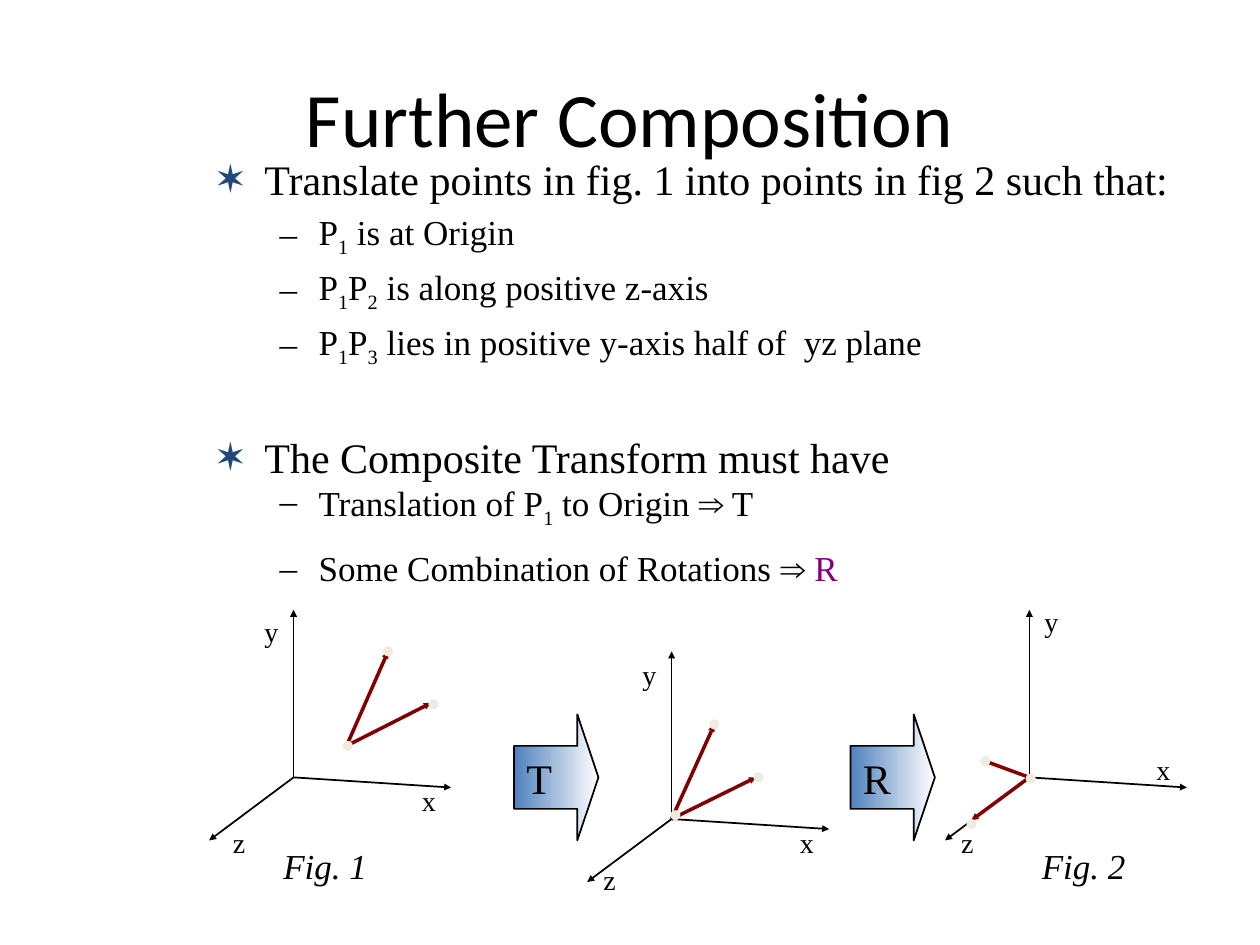
"""Build the Further Composition slide on chained 3D transforms."""
from dataclasses import dataclass
from typing import Any, NamedTuple

from pptx import Presentation
from pptx import util as u
from pptx.dml.color import RGBColor
from pptx.enum import shapes, text
from pptx.oxml import ns, xmlchemy


class Point(NamedTuple):
    x: float
    y: float


class Area(NamedTuple):
    left: float
    top: float
    width: float
    height: float


class Span(NamedTuple):
    words: str
    subscript: bool = False
    accent: bool = False


@dataclass(frozen=True)
class Theme:
    heading: str = "Calibri"
    body: str = "Times New Roman"
    ink: str = "000000"
    vector: str = "800000"
    dot: str = "EEECE1"
    star: str = "1F497D"
    accent: str = "800080"
    arrow_start: str = "4F81BD"
    arrow_end: str = "FFFFFF"
    title_size: float = 44
    point_size: float = 24
    detail_size: float = 20
    label_size: float = 16


@dataclass(frozen=True)
class Item:
    spans: tuple[Span, ...]
    level: int = 1


@dataclass(frozen=True)
class Listing:
    area: Area
    items: tuple[Item, ...]
    line_spacing: float = 1.0
    space_before: float = 0


@dataclass(frozen=True)
class Figure:
    origin: Point
    start: Point
    tips: tuple[Point, ...]
    dots: tuple[Point, ...]
    labels: dict[str, Point]


THEME = Theme()
AXES = (Point(0, -1.33), Point(1.25, 0.08), Point(-0.67, 0.5))
DOT_SIZE = 0.08
P, ONE, TWO, THREE = Span("P"), Span("1", True), Span("2", True), Span("3", True)

LISTINGS = (
    Listing(Area(1.62, 1.17, 8.38, 1.83), (
        Item((Span("Translate points in fig. 1 into points in fig 2 such that:"),), 0),
        Item((P, ONE, Span(" is at Origin"))),
        Item((P, ONE, P, TWO, Span(" is along positive z-axis"))),
        Item((P, ONE, P, THREE, Span(" lies in positive y-axis half of  yz plane"))),
    ), space_before=4),
    Listing(Area(1.62, 3.42, 8.38, 0.92), (
        Item((Span("The Composite Transform must have"),), 0),
        Item((Span("Translation of P"), ONE, Span(" to Origin ⇒ T"))),
    ), line_spacing=0.9),
    Listing(Area(1.62, 4.33, 8.38, 0.5), (
        Item((Span("Some Combination of Rotations ⇒ "), Span("R", accent=True))),
    ), line_spacing=0.9),
)

FIGURES = (
    Figure(Point(2.33, 6.17), Point(2.75, 5.92),
           (Point(3.42, 5.58), Point(3.08, 5.17)),
           (Point(3.44, 5.59), Point(3.08, 5.17), Point(2.76, 5.92)),
           {"z": Point(1.75, 6.5), "x": Point(3.25, 6.17), "y": Point(2, 4.83)}),
    Figure(Point(5.33, 6.5), Point(5.33, 6.5),
           (Point(6, 6.17), Point(5.67, 5.75)),
           (Point(6.02, 6.17), Point(5.67, 5.75), Point(5.36, 6.47)),
           {"z": Point(4.69, 6.8), "x": Point(6.25, 6.5), "y": Point(5, 5.17)}),
    Figure(Point(8.17, 6.17), Point(8.17, 6.17),
           (Point(7.71, 6.51), Point(7.79, 6.03)),
           (Point(7.71, 6.54), Point(7.82, 6.04), Point(8.18, 6.18)),
           {"z": Point(7.53, 6.5), "x": Point(9.08, 5.92), "y": Point(8.19, 4.75)}),
)


def apply_format(target: Any, values: dict[str, Any]) -> None:
    for name, value in values.items():
        setattr(target, name, value)


def inches(values: tuple[float, ...]) -> list[u.Length]:
    return [u.Inches(value) for value in values]


def add_child(parent: Any, tag: str, **attributes: str) -> Any:
    child = xmlchemy.OxmlElement(tag)
    apply_attributes(child, attributes)
    parent.append(child)
    return child


def apply_attributes(element: Any, attributes: dict[str, str]) -> None:
    for name, value in attributes.items():
        element.set(name, value)


def add_span(para: Any, words: str, size: float, family: str = THEME.body,
             color: str = THEME.ink, italic: bool = False) -> Any:
    span = para.add_run()
    span.text = words
    apply_format(span.font, {"size": u.Pt(size), "name": family, "italic": italic})
    span.font.color.rgb = RGBColor.from_string(color)
    return span


def add_title(page: Any, words: str) -> None:
    frame = page.shapes.add_textbox(*inches(Area(0.5, 0.3, 9, 1.25))).text_frame
    apply_format(frame, {"word_wrap": True, "vertical_anchor": text.MSO_ANCHOR.MIDDLE})
    para = frame.paragraphs[0]
    para.alignment = text.PP_ALIGN.CENTER
    add_span(para, words, THEME.title_size, THEME.heading)


def add_bullet(para: Any, level: int) -> None:
    properties = para._p.get_or_add_pPr()
    margin, indent = ((0.38, -0.38), (0.81, -0.31))[level]
    apply_attributes(properties, {"marL": str(u.Inches(margin)), "indent": str(u.Inches(indent))})
    if level == 0:
        add_child(add_child(properties, "a:buClr"), "a:srgbClr", val=THEME.star)
        add_child(properties, "a:buSzPct", val="95000")
    add_child(properties, "a:buFont", typeface=THEME.body)
    add_child(properties, "a:buChar", char="✶–"[level])


def add_listing(page: Any, listing: Listing) -> None:
    frame = page.shapes.add_textbox(*inches(listing.area)).text_frame
    frame.word_wrap = True
    for index, item in enumerate(listing.items):
        para = frame.add_paragraph() if index else frame.paragraphs[0]
        add_bullet(para, item.level)
        apply_format(para, {"level": item.level, "line_spacing": listing.line_spacing,
                            "space_before": u.Pt(listing.space_before if index else 0)})
        size = THEME.detail_size if item.level else THEME.point_size
        for part in item.spans:
            span = add_span(para, part.words, size, color=THEME.accent if part.accent else THEME.ink)
            if part.subscript:
                span._r.get_or_add_rPr().set("baseline", "-25000")


def add_label(page: Any, words: str, area: Area, size: float, italic: bool = False) -> None:
    frame = page.shapes.add_textbox(*inches(area)).text_frame
    apply_format(frame, {"word_wrap": False, "auto_size": text.MSO_AUTO_SIZE.SHAPE_TO_FIT_TEXT})
    add_span(frame.paragraphs[0], words, size, italic=italic)


def add_vector(page: Any, start: Point, end: Point, color: str, width: float) -> None:
    vector = page.shapes.add_connector(shapes.MSO_CONNECTOR.STRAIGHT, *inches(start + end))
    vector.line.width = u.Pt(width)
    vector.line.color.rgb = RGBColor.from_string(color)
    properties = vector._element.spPr
    add_child(properties.find(ns.qn("a:ln")), "a:tailEnd", type="triangle", w="sm", len="sm")
    add_child(properties, "a:effectLst")


def add_dot(page: Any, center: Point) -> None:
    area = Area(center.x - DOT_SIZE / 2, center.y - DOT_SIZE / 2, DOT_SIZE, DOT_SIZE)
    dot = page.shapes.add_shape(shapes.MSO_SHAPE.OVAL, *inches(area))
    dot.shadow.inherit = False
    dot.fill.solid()
    dot.fill.fore_color.rgb = RGBColor.from_string(THEME.dot)
    dot.line.fill.background()


def add_figure(page: Any, figure: Figure) -> None:
    origin = figure.origin
    for axis in AXES:
        add_vector(page, origin, Point(origin.x + axis.x, origin.y + axis.y), THEME.ink, 1)
    for tip in figure.tips:
        add_vector(page, figure.start, tip, THEME.vector, 2)
    for dot in figure.dots:
        add_dot(page, dot)
    for words, corner in figure.labels.items():
        add_label(page, words, Area(*corner, 0.31, 0.37), THEME.label_size)


def add_step(page: Any, words: str, left: float) -> None:
    arrow = page.shapes.add_shape(shapes.MSO_SHAPE.RIGHT_ARROW, *inches(Area(left, 5.67, 0.67, 1)))
    arrow.shadow.inherit = False
    arrow.adjustments[0], arrow.adjustments[1] = 0.5, 0.25
    arrow.fill.gradient()
    arrow.fill.gradient_angle = 0
    for stop, position, color in zip(arrow.fill.gradient_stops, (0, 1), (THEME.arrow_start, THEME.arrow_end)):
        stop.position = position
        stop.color.rgb = RGBColor.from_string(color)
    arrow.line.width = u.Pt(1)
    arrow.line.color.rgb = RGBColor.from_string(THEME.ink)
    frame = arrow.text_frame
    apply_format(frame, {"word_wrap": False, "vertical_anchor": text.MSO_ANCHOR.MIDDLE})
    frame.paragraphs[0].alignment = text.PP_ALIGN.LEFT
    add_span(frame.paragraphs[0], words, THEME.point_size)


def main() -> None:
    deck = Presentation()
    apply_format(deck, {"slide_width": u.Inches(10), "slide_height": u.Inches(7.5)})
    page = deck.slides.add_slide(deck.slide_layouts[6])
    add_title(page, "Further Composition")
    for listing in LISTINGS:
        add_listing(page, listing)
    for figure in FIGURES:
        add_figure(page, figure)
    for words, left in (("T", 4.08), ("R", 6.75)):
        add_step(page, words, left)
    for words, left in (("Fig. 1", 2.15), ("Fig. 2", 8.17)):
        add_label(page, words, Area(left, 6.65, 0.92, 0.43), THEME.detail_size, italic=True)
    deck.save("out.pptx")


if __name__ == "__main__":
    main()
